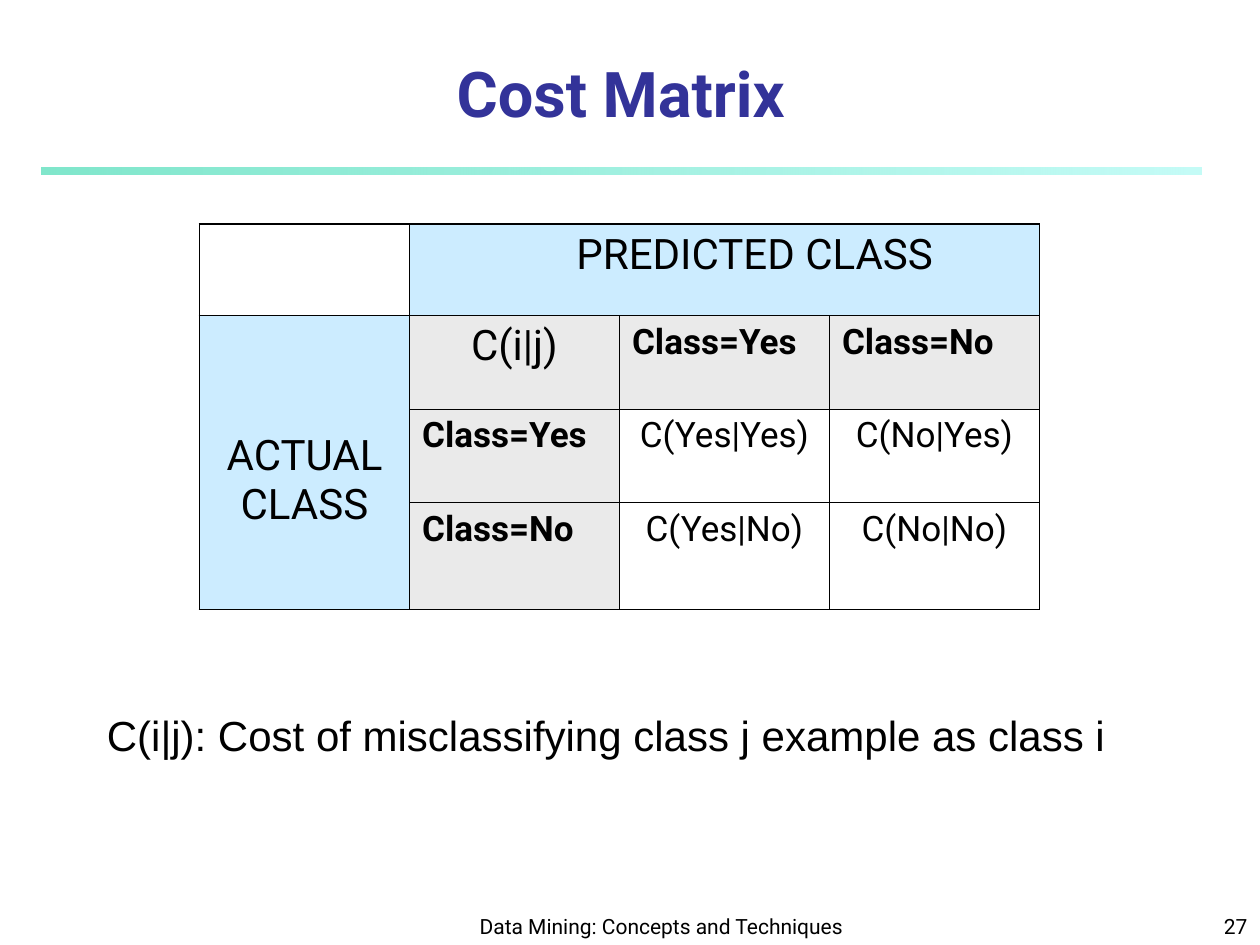
"""Builds the Cost Matrix slide on a grid of twelfths of an inch."""
from lxml import etree
from pptx import Presentation
from pptx.dml.color import RGBColor
from pptx.enum.shapes import MSO_SHAPE
from pptx.enum.text import MSO_ANCHOR, PP_ALIGN
from pptx.oxml.ns import qn
from pptx.util import Inches, Pt

LEFT, CENTER, RIGHT = PP_ALIGN.LEFT, PP_ALIGN.CENTER, PP_ALIGN.RIGHT
TOP, BOTTOM = MSO_ANCHOR.TOP, MSO_ANCHOR.BOTTOM
RECTANGLE = MSO_SHAPE.RECTANGLE
COLORS = {
    "black": "000000", "title": "333399", "header": "CCECFF", "label": "EAEAEA",
    "rule start": "00CE98", "rule end": "8FF9EF",
}
UNIT = Inches(1) // 12
THIN, THICK = Pt(0.45), Pt(1.08)


def write(frame, text, size, align, font="Roboto", color="black", bold=False):
    frame.word_wrap = True
    frame.text = text
    para = frame.paragraphs[0]
    para.alignment = align
    para.font.name, para.font.size, para.font.bold = font, Pt(size), bold
    para.font.color.rgb = RGBColor.from_string(COLORS[color])


def add_border(cell, side, width):
    line = etree.SubElement(cell._tc.get_or_add_tcPr(), qn("a:ln" + side), w=str(width))
    fill = etree.SubElement(line, qn("a:solidFill"))
    etree.SubElement(fill, qn("a:srgbClr"), val=COLORS["black"])


deck = Presentation()
deck.slide_width, deck.slide_height = UNIT * 120, UNIT * 90
page = deck.slides.add_slide(deck.slide_layouts[6])

rule = page.shapes.add_shape(RECTANGLE, UNIT * 4, UNIT * 16, Inches(9.2), Inches(0.05))
rule.shadow.inherit = False
rule.line.fill.background()
rule.fill.gradient()
rule.fill.gradient_angle = 0
for stop, name in zip(rule.fill.gradient_stops, ("rule start", "rule end")):
    stop.color.rgb = RGBColor.from_string(COLORS[name])
for color, alpha in zip(rule._element.spPr.iter(qn("a:srgbClr")), (50000, 52000)):
    etree.SubElement(color, qn("a:alpha"), val=str(alpha))

boxes = [
    ((44, 85, 38, 5), BOTTOM, ("Data Mining: Concepts and Techniques", 12, CENTER)),
    ((95, 85, 25, 5), BOTTOM, ("27", 12, RIGHT)),
    ((4, 5, 110.25, 8), BOTTOM, ("Cost Matrix", 36, CENTER, "Roboto", "title", True)),
    ((9, 67, 103, 12), TOP,
     ("C(i|j): Cost of misclassifying class j example as class i", 24, LEFT, "Arial")),
]
for place, anchor, content in boxes:
    box = page.shapes.add_textbox(*(int(UNIT * value) for value in place))
    box.text_frame.vertical_anchor = anchor
    write(box.text_frame, *content)

row_heights = [8.7, 8.9, 8.9, 10.2]
matrix = page.shapes.add_table(
    4, 4, UNIT * 19, Inches(1.78), UNIT * 80, int(UNIT * sum(row_heights))).table
matrix.first_row = matrix.horz_banding = False
for column in matrix.columns:
    column.width = UNIT * 20
for row, height in zip(matrix.rows, row_heights):
    row.height = int(UNIT * height)
matrix.cell(0, 1).merge(matrix.cell(0, 3))
matrix.cell(1, 0).merge(matrix.cell(3, 0))

texts = [
    ["", "PREDICTED CLASS", "", ""],
    ["ACTUAL\vCLASS", "C(i|j)", "Class=Yes", "Class=No"],
    ["", "Class=Yes", "C(Yes|Yes)", "C(No|Yes)"],
    ["", "Class=No", "C(Yes|No)", "C(No|No)"],
]
for row, line in enumerate(texts):
    for column, text in enumerate(line):
        cell = matrix.cell(row, column)
        last_row = row + cell.span_height == 4 or row == 3
        last_column = column + cell.span_width == 4 or column == 3
        outer = {"L": column == 0, "R": last_column, "T": row == 0, "B": last_row}
        for side, is_outer in outer.items():
            add_border(cell, side, THICK if is_outer else THIN)
        if row == column == 0 or (row > 1 and column > 1):
            cell.fill.background()
        else:
            fill = "header" if row == 0 or column == 0 else "label"
            cell.fill.solid()
            cell.fill.fore_color.rgb = RGBColor.from_string(COLORS[fill])
        if text:
            is_class = text.startswith("Class=")
            size = 24 if row == 0 or column == 0 or row == column == 1 else 20
            write(cell.text_frame, text, size, LEFT if is_class else CENTER, bold=is_class)
matrix.cell(0, 1).margin_left = Inches(0.58)
matrix.cell(1, 0).margin_top = Inches(0.92)

deck.save("out.pptx")
